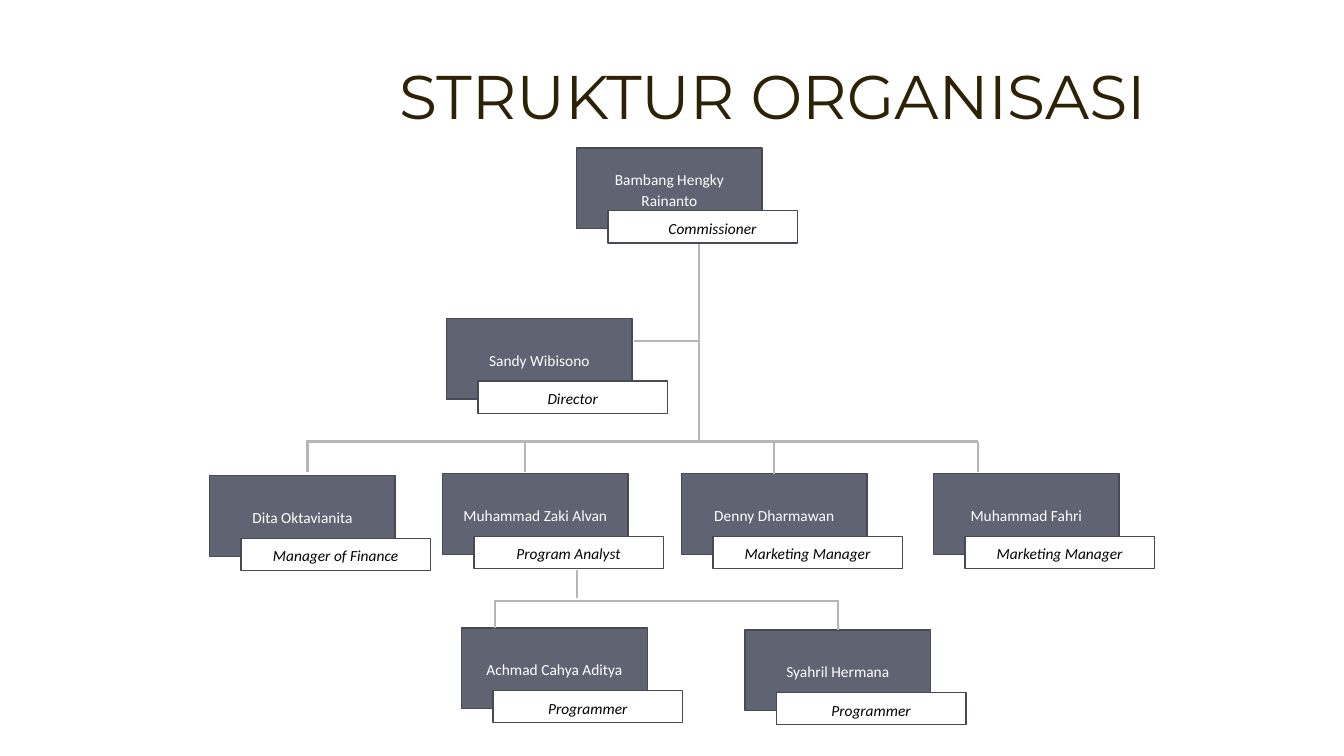
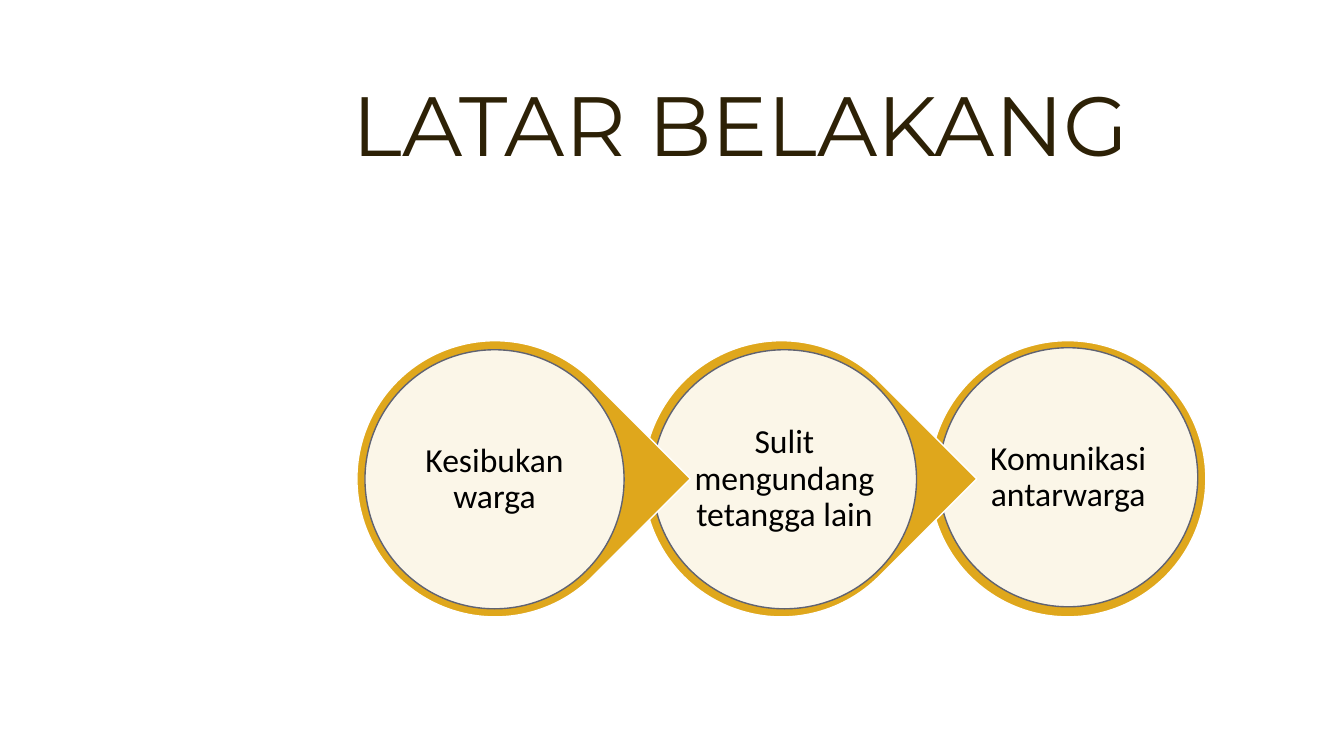
from lxml import etree
from pptx import Presentation
from pptx.dml.color import RGBColor
from pptx.enum import shapes, text
from pptx.oxml import ns
from pptx.util import Emu, Pt

# Shared style
PX = 9144  # one hundredth of an inch
TITLE_FONT, BODY_FONT = "Montserrat", "Calibri"
TITLE, SLATE, EDGE, LINK = "2D2106", "606372", "474954", "B6B6B9"
GOLD, WHITE, BLACK = "DFA71C", "FFFFFF", "000000"
RECT = shapes.MSO_SHAPE.RECTANGLE
OVAL = shapes.MSO_SHAPE.OVAL
TEARDROP = shapes.MSO_SHAPE.TEAR
CENTER, LEFT = text.PP_ALIGN.CENTER, text.PP_ALIGN.LEFT
TOP_SIDE = 0

# Organisation chart: name, role, left, top of each card
NAME_W, NAME_H = 184, 80
ROLE_W, ROLE_H = 188, 32
ROLE_DX, ROLE_DY = 31, 62
PEOPLE = [
    ("Bambang Hengky Rainanto", "Commissioner", 572, 147),
    ("Sandy Wibisono", "Director", 443, 316),
    ("Dita Oktavianita", "Manager of Finance", 208, 472),
    ("Muhammad Zaki Alvan", "Program Analyst", 439, 470),
    ("Denny Dharmawan", "Marketing Manager", 676, 470),
    ("Muhammad Fahri", "Marketing Manager", 926, 470),
    ("Achmad Cahya Aditya", "Programmer", 458, 623),
    ("Syahril Hermana", "Programmer", 739, 625),
]
LINKS = [
    (693, 242, 693, 439),  # commissioner to managers
    (629, 338, 693, 338),  # director
    (304, 438, 970, 438),  # managers' bar
    (305, 439, 305, 468),
    (521, 439, 521, 468),
    (970, 439, 970, 468),
    (572, 565, 572, 593),  # analyst to programmers
    (490, 596, 832, 596),  # programmers' bar
    (491, 595, 491, 623),
]
JOINED = [("Denny Dharmawan", 439), ("Syahril Hermana", 596)]

# Background chain: text, then left, top and width of the white disc
RING_LEFT, RING_TOP, RING_SIZE, RING_STEP = 354, 338, 274, 284
DISC_H = 257
REASONS = [
    ("Kesibukan warga", 362, 347, 257),
    ("Sulit mengundang tetangga lain", 647, 347, 262),
    ("Komunikasi antarwarga", 931, 345, 257),
]


def px(*lengths):
    return [Emu(n * PX) for n in lengths]


def rgb(value):
    return RGBColor.from_string(value)


def write(frame, words, size, color, font=BODY_FONT, italic=False,
          align=CENTER, spacing=1.15):
    paragraph = frame.paragraphs[0]
    paragraph.alignment = align
    paragraph.line_spacing = spacing
    run = paragraph.add_run()
    run.text = words
    run.font.name, run.font.size, run.font.italic = font, Pt(size), italic
    run.font.color.rgb = rgb(color)


def add_titled_slide(deck, words, size, left, top):
    slide = deck.slides.add_slide(deck.slide_layouts[5])
    title = slide.shapes.title
    title.left, title.top, title.width, title.height = px(left, top, 959, 171)
    frame = title.text_frame
    frame.word_wrap = True
    frame.auto_size = text.MSO_AUTO_SIZE.NONE
    frame.vertical_anchor = text.MSO_ANCHOR.TOP
    write(frame, words, size, TITLE, TITLE_FONT, spacing=0.99)
    return slide


def add_block(parent, kind, box, fill, edge):
    block = parent.shapes.add_shape(kind, *px(*box))
    block.shadow.inherit = False
    block.fill.solid()
    block.fill.fore_color.rgb = rgb(fill)
    block.line.color.rgb = rgb(edge)
    block.line.width = Pt(1)
    block.text_frame.word_wrap = True
    block.text_frame.vertical_anchor = text.MSO_ANCHOR.MIDDLE
    return block


def add_card(slide, name, role, left, top):
    card = slide.shapes.add_group_shape()
    person = add_block(card, RECT, (left, top, NAME_W, NAME_H), SLATE, EDGE)
    write(person.text_frame, name, 11, WHITE)
    job = add_block(card, RECT, (left + ROLE_DX, top + ROLE_DY, ROLE_W, ROLE_H),
                    WHITE, EDGE)
    indented = role == "Commissioner"
    write(job.text_frame, role, 11, BLACK, italic=True,
          align=LEFT if indented else CENTER)
    if indented:
        job.text_frame.margin_left = px(60)[0]
    return person


def add_link(slide, x1, y1, x2, y2):
    link = slide.shapes.add_connector(shapes.MSO_CONNECTOR.STRAIGHT,
                                      *px(x1, y1, x2, y2))
    link.line.color.rgb = rgb(LINK)
    link.line.width = Pt(1.5)
    etree.SubElement(link._element.spPr, ns.qn("a:effectLst"))
    return link


def add_reason(slide, index, words, left, top, width):
    last = index == len(REASONS) - 1
    ring = add_block(slide, OVAL if last else TEARDROP,
                     (RING_LEFT + index * RING_STEP, RING_TOP, RING_SIZE, RING_SIZE),
                     GOLD, WHITE)
    if not last:
        ring.rotation = 45  # turns the tip to the right
    disc = add_block(slide, OVAL, (left, top, width, DISC_H), WHITE, SLATE)
    tint = disc._element.spPr.find(ns.qn("a:solidFill"))[0]
    etree.SubElement(tint, ns.qn("a:alpha"), val="90000")
    frame = disc.text_frame
    frame.margin_left = frame.margin_right = px(2)[0]
    frame.margin_top = frame.margin_bottom = px(2)[0]
    write(frame, words, 24, BLACK, spacing=0.9)


def build_organisation(deck):
    slide = add_titled_slide(deck, "STRUKTUR ORGANISASI", 44, 287, 55)
    cards = {person[0]: add_card(slide, *person) for person in PEOPLE}
    for ends in LINKS:
        add_link(slide, *ends)
    for name, bar in JOINED:
        person = cards[name]
        middle = (person.left + person.width // 2) // PX
        link = add_link(slide, middle, bar, middle, person.top // PX)
        link.end_connect(person, TOP_SIDE)


def build_background(deck):
    slide = add_titled_slide(deck, "LATAR BELAKANG", 60, 255, 71)
    # Right to left, so that each tip lies over the next ring
    for index, reason in reversed(list(enumerate(REASONS))):
        add_reason(slide, index, *reason)


def main():
    deck = Presentation()
    deck.slide_width, deck.slide_height = px(1333, 750)
    build_organisation(deck)
    build_background(deck)
    deck.save("out.pptx")


if __name__ == "__main__":
    main()
